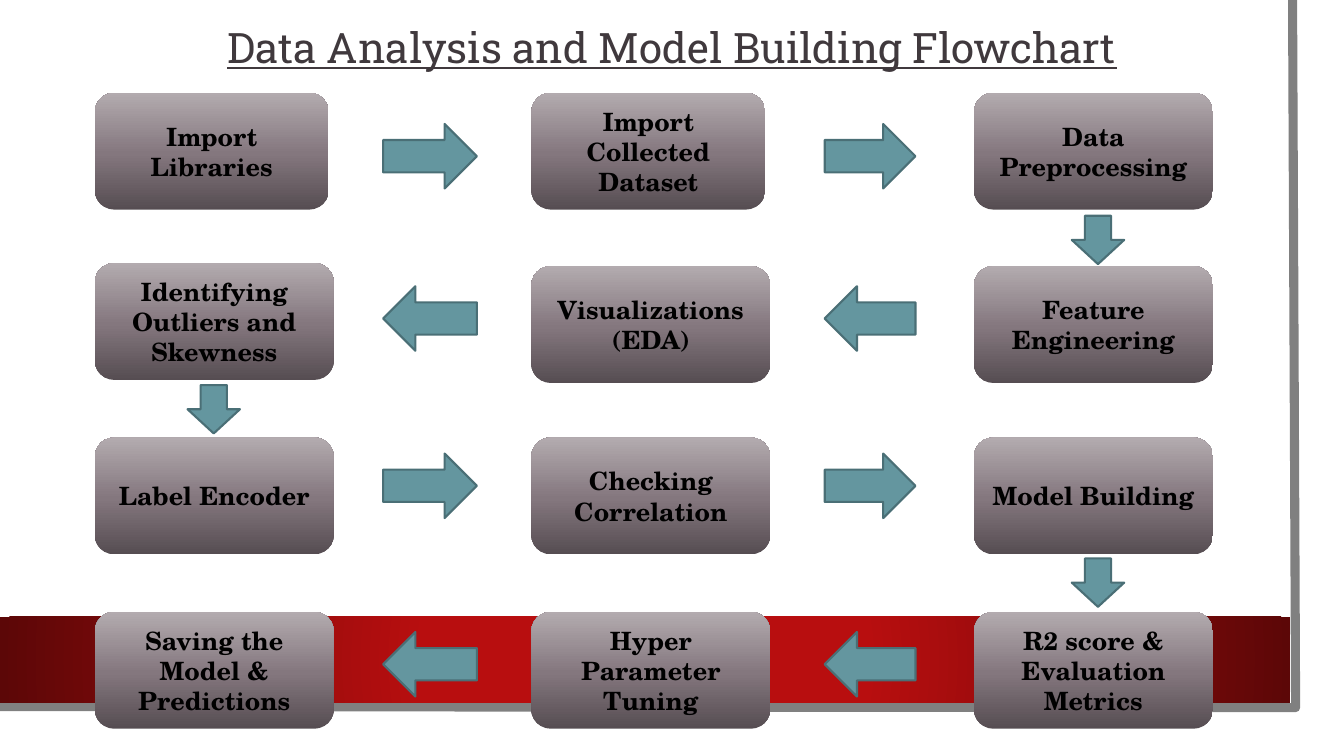
from lxml import etree
from pptx import Presentation
from pptx.dml.color import RGBColor
from pptx.enum.shapes import MSO_SHAPE
from pptx.enum.text import MSO_ANCHOR, PP_ALIGN
from pptx.oxml.ns import qn
from pptx.util import Pt

PX = 9144  # 100 px to the inch
RECTANGLE = MSO_SHAPE.RECTANGLE
STEP = MSO_SHAPE.FLOWCHART_ALTERNATE_PROCESS
RIGHT, LEFT, DOWN = MSO_SHAPE.RIGHT_ARROW, MSO_SHAPE.LEFT_ARROW, MSO_SHAPE.DOWN_ARROW

COLORS = {
    "page": "FFFFFF", "frame": "808080", "title": "40393D", "text": "000000",
    "arrow": "64969F", "arrow_line": "4A6F76",
    "band": "B80E0F", "band_edge": "5C0707",
    "step_dark": "564D52", "step_mid": "84777E", "step_light": "B3ABAF",
}
TITLE_FONT, STEP_FONT = "Roboto Slab", "TeX Gyre Schola"

COLUMNS = (94, 527, 966)
STEP_WIDTH, STEP_HEIGHT = 237, 116
ARROW_SPANS = ((380, 93), (818, 90))
ARROW_HEIGHT = 64
# step top, arrow top, arrow kind, labels from left to right
ROWS = (
    (92, 123, RIGHT, ("Import Libraries", "Import Collected Dataset", "Data Preprocessing")),
    (264, 284, LEFT, ("Identifying Outliers and Skewness", "Visualizations\n(EDA)",
                      "Feature Engineering")),
    (434, 450, RIGHT, ("Label Encoder", "Checking Correlation", "Model Building")),
    (607, 627, LEFT, ("Saving the Model & Predictions", "Hyper Parameter Tuning",
                      "R2 score & Evaluation Metrics")),
)
TURNS = ((1063, 214), (186, 382), (1063, 554))
TURN_SIZE = (52, 48)


def color(name):
    return RGBColor.from_string(COLORS[name])


def emu(box):
    return [length * PX for length in box]


def add_block(page, kind, box, fill=None, line=None, line_width=1.5):
    block = page.shapes.add_shape(kind, *emu(box))
    block.shadow.inherit = False
    if fill:
        block.fill.solid()
        block.fill.fore_color.rgb = color(fill)
    if line:
        block.line.color.rgb = color(line)
        block.line.width = Pt(line_width)
    else:
        block.line.fill.background()
    return block


def set_gradient(block, stops, angle=None):
    """Fill with (percent, color) stops: linear at an angle, or circular without one."""
    block.fill.gradient()
    gradient = block._element.spPr.find(qn("a:gradFill"))
    for child in list(gradient):
        gradient.remove(child)
    stop_list = etree.SubElement(gradient, qn("a:gsLst"))
    for percent, name in stops:
        stop = etree.SubElement(stop_list, qn("a:gs"), pos=str(percent * 1000))
        etree.SubElement(stop, qn("a:srgbClr"), val=COLORS[name])
    if angle is None:
        circle = etree.SubElement(gradient, qn("a:path"), path="circle")
        center = {side: "50000" for side in "ltrb"}
        etree.SubElement(circle, qn("a:fillToRect"), **center)
    else:
        etree.SubElement(gradient, qn("a:lin"), ang=str(angle * 60000), scaled="0")


def write(shape, text, font, size, ink, bold=False, underline=False):
    frame = shape.text_frame
    frame.text = text
    frame.word_wrap = True
    frame.vertical_anchor = MSO_ANCHOR.MIDDLE
    for para in frame.paragraphs:
        para.alignment = PP_ALIGN.CENTER
        for span in para.runs:
            span.font.name = font
            span.font.size = Pt(size)
            span.font.bold = bold
            span.font.underline = underline
            span.font.color.rgb = color(ink)


def add_backdrop(page, box):
    left, top, width, height = box
    add_block(page, RECTANGLE, box, fill="page")
    right, bottom = left + width - 25, top + height - 25
    builder = page.shapes.build_freeform((right - 3) * PX, top * PX)
    builder.add_line_segments(
        [(right * PX, bottom * PX), ((left - 3) * PX, (bottom - 1) * PX)], close=False)
    edge = builder.convert_to_shape()
    edge.shadow.inherit = False
    edge.fill.background()
    edge.line.color.rgb = color("frame")
    edge.line.width = Pt(6.5)
    band = add_block(page, RECTANGLE, (left, bottom - 90, width - 30, 85))
    set_gradient(band, ((34, "band"), (100, "band_edge")))


def add_title(page, box):
    title = page.shapes.title
    title.left, title.top, title.width, title.height = emu(box)
    write(title, "Data Analysis and Model Building Flowchart",
          TITLE_FONT, 30, "title", underline=True)
    title._element.getparent().append(title._element)  # in front of the backdrop


def add_arrow(page, kind, box):
    add_block(page, kind, box, fill="arrow", line="arrow_line")


def add_step(page, text, box):
    step = add_block(page, STEP, box)
    set_gradient(step, ((0, "step_dark"), (48, "step_mid"), (100, "step_light")), angle=270)
    write(step, text, STEP_FONT, 18, "text", bold=True)


def add_flowchart(page, box):
    x, y = box[:2]
    for row, (top, arrow_top, kind, labels) in enumerate(ROWS):
        for left, width in ARROW_SPANS:
            add_arrow(page, kind, (x + left, y + arrow_top, width, ARROW_HEIGHT))
        for column, (left, label) in enumerate(zip(COLUMNS, labels)):
            narrower = 5 if row == 0 and column < 2 else 0
            raised = 3 if row == 1 and column == 0 else 0
            add_step(page, label, (x + left, y + top - raised,
                                   STEP_WIDTH - narrower, STEP_HEIGHT))
    for left, top in TURNS:
        add_arrow(page, DOWN, (x + left, y + top, *TURN_SIZE))


def main():
    deck = Presentation()
    deck.slide_width, deck.slide_height = emu((1333, 750))
    page = deck.slides.add_slide(deck.slide_layouts[5])
    add_backdrop(page, (0, 0, 1310, 727))
    add_title(page, (0, 16, 1333, 61))
    add_flowchart(page, (0, 0, 1333, 750))
    deck.save("out.pptx")


if __name__ == "__main__":
    main()
